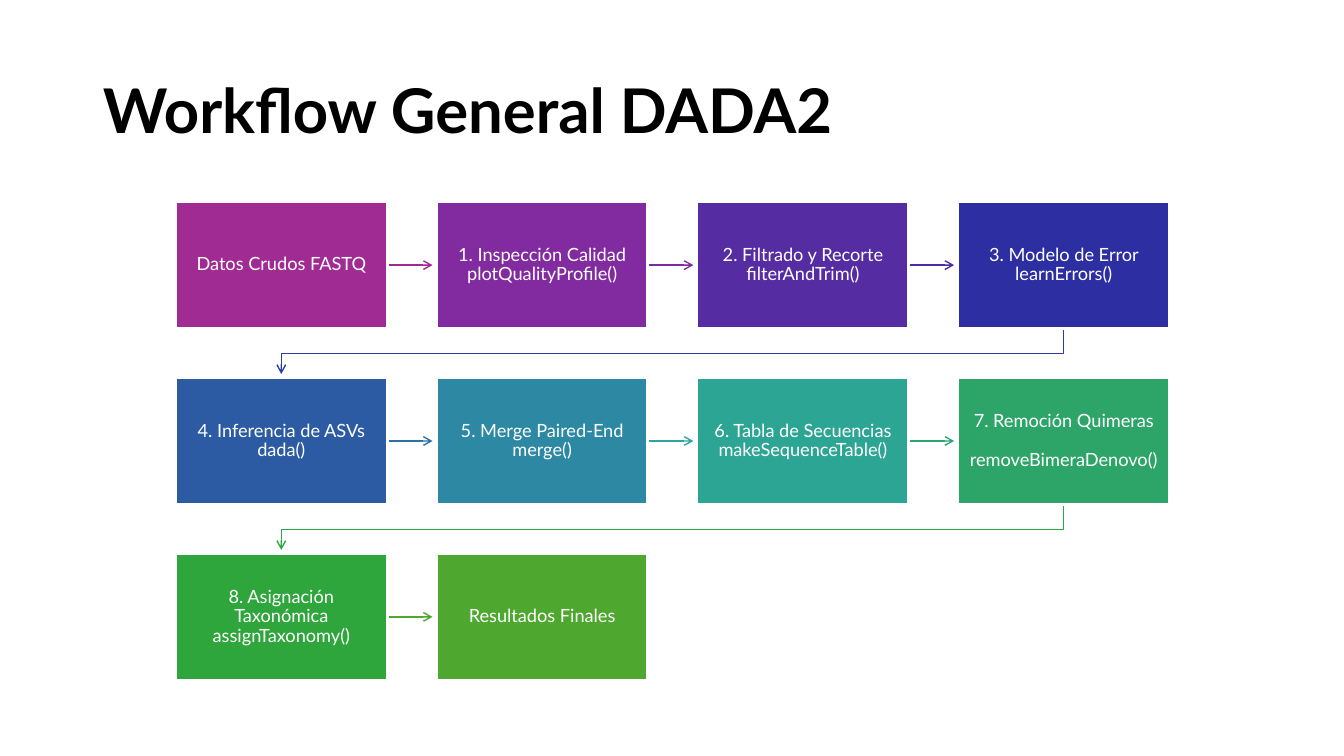
from lxml import etree
from pptx import Presentation
from pptx.dml.color import RGBColor
from pptx.enum.shapes import MSO_CONNECTOR, MSO_SHAPE
from pptx.enum.text import MSO_ANCHOR, MSO_AUTO_SIZE, PP_ALIGN
from pptx.oxml.ns import qn
from pptx.util import Inches, Pt

RECTANGLE = MSO_SHAPE.RECTANGLE
STRAIGHT = MSO_CONNECTOR.STRAIGHT
MIDDLE = MSO_ANCHOR.MIDDLE
LEFT, CENTER = PP_ALIGN.LEFT, PP_ALIGN.CENTER
RIGHT_SIDE = 3

FONT = "Lato"
COLORS = {"title": "000000", "text": "FFFFFF", "border": "FFFFFF"}
COLUMNS = 4
GRID_LEFT, GRID_TOP = 1.74, 2
COLUMN_STEP, ROW_STEP = 7.76 / 3, 3.49 / 2
BOX_WIDTH, BOX_HEIGHT = 2.1, 1.26
ARROW_LENGTH, TURN_DROP = 0.45, 0.25

STEPS = [
    ("Datos Crudos FASTQ", "A02B93", "A02B93"),
    ("1. Inspección Calidad plotQualityProfile()", "822BA1", "7C2BA1"),
    ("2. Filtrado y Recorte filterAndTrim()", "562CA2", "4B2CA2"),
    ("3. Modelo de Error learnErrors()", "2C2EA2", "2C3EA3"),
    ("4. Inferencia de ASVs dada()", "2C5BA3", "2C71A4"),
    ("5. Merge Paired-End merge()", "2D88A4", "2DA4A4"),
    ("6. Tabla de Secuencias makeSequenceTable()", "2DA594", "2DA573"),
    ("7. Remoción Quimeras\nremoveBimeraDenovo()", "2DA568", "2EA641"),
    ("8. Asignación Taxonómica assignTaxonomy()", "2EA63B", "4EA72E"),
    ("Resultados Finales", "4EA72E", None),
]


def add_span(para, text, size, color, align, bold=False):
    para.alignment = align
    para.line_spacing = 0.9
    span = para.add_run()
    span.text = text
    span.font.name = FONT
    span.font.size = Pt(size)
    span.font.bold = bold
    span.font.color.rgb = RGBColor.from_string(color)


def style_arrow(arrow, color):
    arrow.line.color.rgb = RGBColor.from_string(color)
    arrow.line.width = Pt(1)
    outline = arrow.line._get_or_add_ln()
    etree.SubElement(outline, qn("a:tailEnd"), type="arrow")


deck = Presentation()
deck.slide_width, deck.slide_height = Inches(13.33), Inches(7.5)
page = deck.slides.add_slide(deck.slide_layouts[5])

title = page.shapes.title
title.left, title.top = Inches(0.92), Inches(0.4)
title.width, title.height = Inches(11.5), Inches(1.45)
title.text_frame.auto_size = MSO_AUTO_SIZE.NONE
title.text_frame.vertical_anchor = MIDDLE
add_span(title.text_frame.paragraphs[0], "Workflow General DADA2", 44,
         COLORS["title"], LEFT, bold=True)

for index, (label, fill_color, arrow_color) in enumerate(STEPS):
    row, column = divmod(index, COLUMNS)
    left = GRID_LEFT + column * COLUMN_STEP
    top = GRID_TOP + row * ROW_STEP
    right, bottom = left + BOX_WIDTH, top + BOX_HEIGHT
    center, middle = left + BOX_WIDTH / 2, top + BOX_HEIGHT / 2
    is_last = index == len(STEPS) - 1
    turns = column == COLUMNS - 1

    if turns:
        first_center = GRID_LEFT + BOX_WIDTH / 2
        turn = bottom + TURN_DROP
        route = [(center, bottom), (center, turn), (first_center, turn),
                 (first_center, bottom + ARROW_LENGTH)]
        points = [(Inches(x), Inches(y)) for x, y in route]
        outline = page.shapes.build_freeform(*points[0])
        outline.add_line_segments(points[1:], close=False)
        arrow = outline.convert_to_shape()
        arrow.fill.background()
        arrow.shadow.inherit = False
        style_arrow(arrow, arrow_color)
    elif not is_last:
        arrow = page.shapes.add_connector(
            STRAIGHT, Inches(right), Inches(middle),
            Inches(right + ARROW_LENGTH), Inches(middle))
        style_arrow(arrow, arrow_color)
        etree.SubElement(arrow._element.spPr, qn("a:effectLst"))

    box = page.shapes.add_shape(RECTANGLE, Inches(left), Inches(top),
                                Inches(BOX_WIDTH), Inches(BOX_HEIGHT))
    box.shadow.inherit = False
    box.fill.solid()
    box.fill.fore_color.rgb = RGBColor.from_string(fill_color)
    box.line.color.rgb = RGBColor.from_string(COLORS["border"])
    box.line.width = Pt(2)
    if not turns and not is_last:
        arrow.begin_connect(box, RIGHT_SIDE)

    frame = box.text_frame
    frame.word_wrap = True
    frame.vertical_anchor = MIDDLE
    frame.margin_left = frame.margin_right = Inches(0.1)
    frame.margin_top = frame.margin_bottom = Inches(0.1)
    for number, text in enumerate(label.split("\n")):
        para = frame.add_paragraph() if number else frame.paragraphs[0]
        para.space_before = Pt(14 * number)
        add_span(para, text, 13, COLORS["text"], CENTER)

deck.save("out.pptx")
